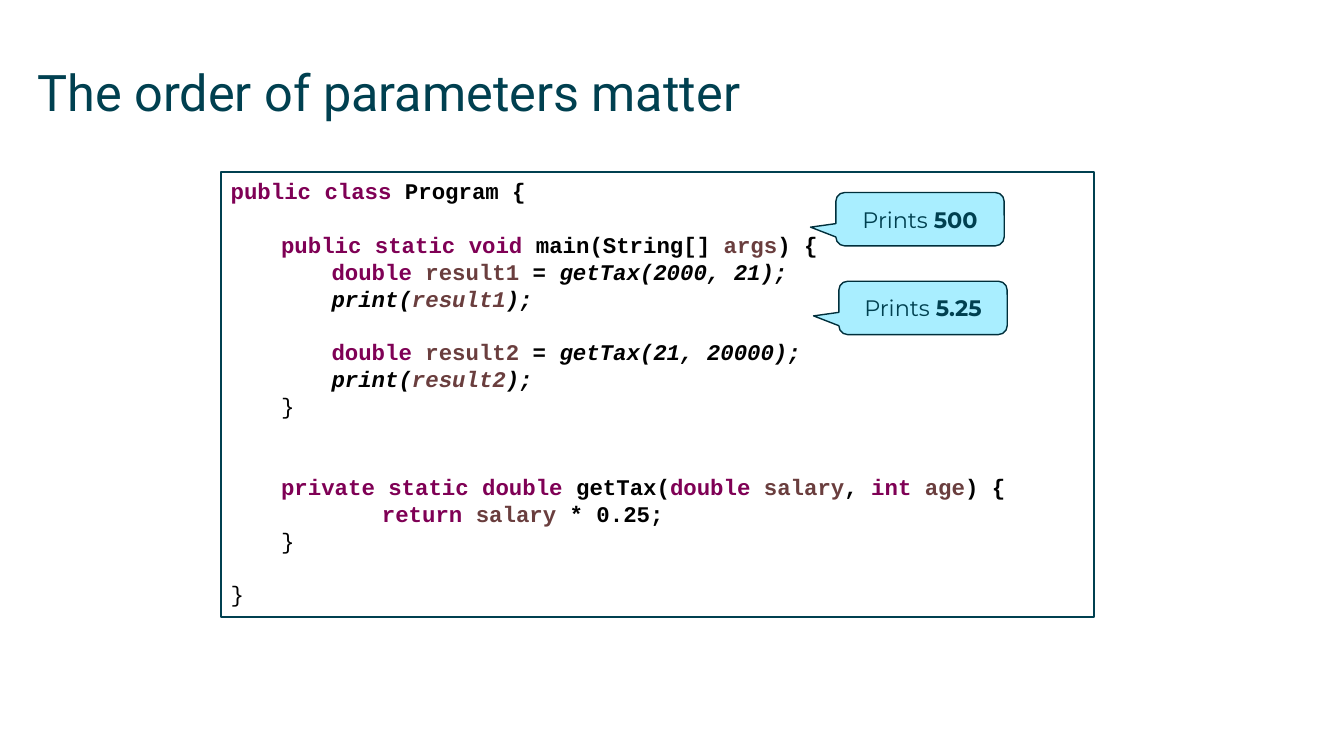
from pptx import Presentation
from pptx.dml.color import RGBColor
from pptx.enum.shapes import MSO_SHAPE as Shape
from pptx.enum.text import MSO_ANCHOR as Anchor, MSO_AUTO_SIZE as AutoSize, PP_ALIGN as Align
from pptx.util import Inches, Pt

TEAL = RGBColor(0x00, 0x40, 0x50)
DARK_TEAL = RGBColor(0x00, 0x2F, 0x3B)
SKY = RGBColor(0xA9, 0xEE, 0xFF)
WHITE = RGBColor(0xFF, 0xFF, 0xFF)
BLACK = RGBColor(0x00, 0x00, 0x00)
PURPLE = RGBColor(0x7F, 0x00, 0x55)
BROWN = RGBColor(0x6A, 0x3E, 0x3E)

LINE_PITCH = 19.2  # points from one code line to the next

# Run styles: keyword, plain code, variable, call, variable in a call, brace
CODE_FONT = dict(name="Courier New", size=Pt(16), bold=True, italic=False)
STYLES = {
    "key": dict(CODE_FONT, color=PURPLE),
    "code": dict(CODE_FONT, color=BLACK),
    "var": dict(CODE_FONT, color=BROWN),
    "call": dict(CODE_FONT, color=BLACK, italic=True),
    "callvar": dict(CODE_FONT, color=BROWN, italic=True),
    "brace": dict(CODE_FONT, color=BLACK, bold=False),
}


def result_lines(result, call):
    """The assignment of a result and the line that prints it."""
    return [
        [("key", "double "), ("var", result), ("code", " = "), ("call", call)],
        [("call", "print("), ("callvar", result), ("call", ");")],
    ]


ASSIGN_1, PRINT_1 = result_lines("result1", "getTax(2000, 21);")
ASSIGN_2, PRINT_2 = result_lines("result2", "getTax(21, 20000);")
CLOSE = [("brace", "}")]

# Code lines: (indent in inches, empty lines above, runs)
PROGRAM = [
    (0, 0, [("key", "public class"), ("code", " Program {")]),
    (0.5, 1, [("key", "public static void"), ("code", " main(String[] "),
              ("var", "args"), ("code", ") {")]),
    (1, 0, ASSIGN_1),
    (1, 0, PRINT_1),
    (1, 1, ASSIGN_2),
    (1, 0, PRINT_2),
    (0.5, 0, CLOSE),
    (0.5, 2, [("key", "private static double "), ("code", "getTax("),
              ("key", "double "), ("var", "salary"), ("code", ", "),
              ("key", "int "), ("var", "age"), ("code", ") {")]),
    (1.5, 0, [("key", "return "), ("var", "salary"), ("code", " * 0.25;")]),
    (0.5, 0, CLOSE),
    (0, 1, CLOSE),
]


def add_run(paragraph, text, style):
    run = paragraph.add_run()
    run.text = text
    for attribute, value in style.items():
        if attribute == "color":
            run.font.color.rgb = value
        else:
            setattr(run.font, attribute, value)


def set_frame(frame, **settings):
    for attribute, value in settings.items():
        setattr(frame, attribute, value)


def add_panel(slide, kind, box, fill, line, width):
    panel = slide.shapes.add_shape(kind, *map(Inches, box))
    panel.shadow.inherit = False
    panel.fill.solid()
    panel.fill.fore_color.rgb = fill
    panel.line.color.rgb = line
    panel.line.width = Pt(width)
    return panel


def place_title(slide, box, text):
    title = slide.shapes.title
    title.left, title.top, title.width, title.height = map(Inches, box)
    set_frame(title.text_frame, margin_left=0, margin_top=0, margin_right=0,
              margin_bottom=0, vertical_anchor=Anchor.TOP, word_wrap=True,
              auto_size=AutoSize.NONE)
    heading = title.text_frame.paragraphs[0]
    heading.alignment = Align.LEFT
    add_run(heading, text, dict(name="Roboto", size=Pt(36), color=TEAL))


def add_code(slide, box, program):
    listing = add_panel(slide, Shape.RECTANGLE, box, WHITE, TEAL, 1.5).text_frame
    set_frame(listing, vertical_anchor=Anchor.TOP, word_wrap=True)
    for number, (indent, gap, runs) in enumerate(program):
        line = listing.add_paragraph() if number else listing.paragraphs[0]
        line.alignment = Align.LEFT
        line.line_spacing = Pt(LINE_PITCH)
        line.space_before = Pt(gap * LINE_PITCH)
        line._p.get_or_add_pPr().set("marL", str(Inches(indent)))
        for style, text in runs:
            add_run(line, text, STYLES[style])


def add_callout(slide, box, value):
    callout = add_panel(slide, Shape.ROUNDED_RECTANGULAR_CALLOUT, box, SKY, DARK_TEAL, 1)
    callout.adjustments[0] = -0.65  # pointer tip, left of the bubble
    callout.adjustments[1] = 0.15
    set_frame(callout.text_frame, vertical_anchor=Anchor.MIDDLE, word_wrap=True)
    output = callout.text_frame.paragraphs[0]
    output.alignment = Align.CENTER
    label = dict(name="Montserrat", size=Pt(16), color=TEAL)
    add_run(output, "Prints ", label)
    add_run(output, value, dict(label, bold=True))


def main():
    deck = Presentation()
    deck.slide_width, deck.slide_height = Inches(13.33), Inches(7.5)
    slide = deck.slides.add_slide(deck.slide_layouts[5])

    place_title(slide, (0.37, 0.61, 12.6, 0.88), "The order of parameters matter")
    add_code(slide, (2.19, 1.71, 8.66, 4.41), PROGRAM)
    # Printed results
    for left, top, value in ((8.29, 1.91, "500"), (8.32, 2.79, "5.25")):
        add_callout(slide, (left, top, 1.67, 0.53), value)

    deck.save("out.pptx")


if __name__ == "__main__":
    main()
